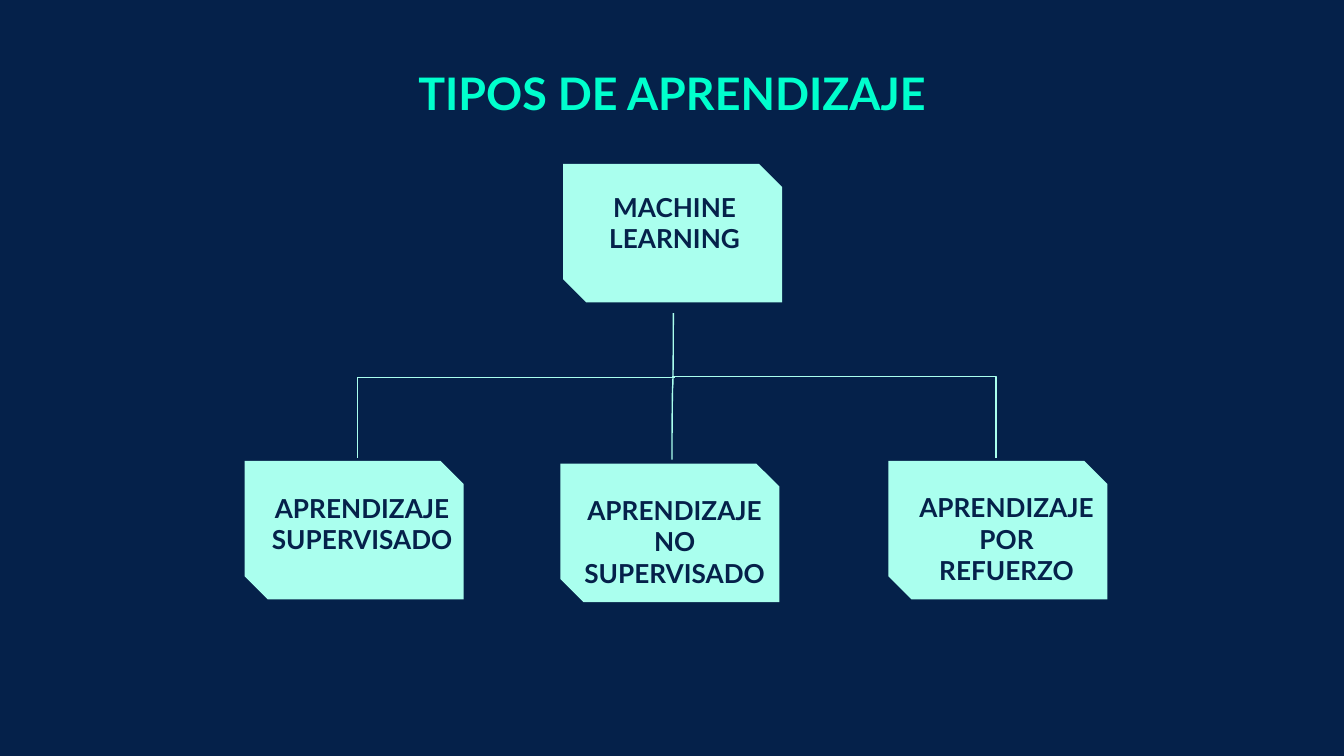
import pptx
import pptx.util
import pptx.dml.color
import pptx.enum.shapes
import pptx.enum.text
import pptx.oxml
import pptx.oxml.ns

Inches = pptx.util.Inches
Kind = pptx.enum.shapes.MSO_CONNECTOR
Anchor = pptx.enum.text.MSO_ANCHOR
NAVY, MINT, GREEN = "05214A", "AAFFEE", "00FFCD"


def color(code):
    return pptx.dml.color.RGBColor.from_string(code)


def write(shape, lines, size, code, anchor):
    frame = shape.text_frame
    frame.word_wrap = True
    frame.auto_size = pptx.enum.text.MSO_AUTO_SIZE.NONE
    frame.vertical_anchor = anchor
    frame.margin_left = frame.margin_right = Inches(0.1)
    frame.margin_top = frame.margin_bottom = Inches(0.1)
    for i, line in enumerate(lines):
        para = frame.add_paragraph() if i else frame.paragraphs[0]
        para.alignment = pptx.enum.text.PP_ALIGN.CENTER
        run = para.add_run()
        run.text = line
        run.font.name = "Lato"
        run.font.size = pptx.util.Pt(size)
        run.font.bold = True
        run.font.color.rgb = color(code)


def add_card(slide, left, top):
    card = slide.shapes.add_shape(
        pptx.enum.shapes.MSO_SHAPE.SNIP_2_DIAG_RECTANGLE,
        Inches(left), Inches(top), Inches(1.63), Inches(1.03))
    card.shadow.inherit = False
    card.adjustments[0] = 0
    card.adjustments[1] = 0.167
    card.fill.solid()
    card.fill.fore_color.rgb = color(MINT)
    card.line.fill.background()


def add_label(slide, box, lines):
    label = slide.shapes.add_textbox(*map(Inches, box))
    write(label, lines, 14, NAVY, Anchor.BOTTOM)


def add_link(slide, kind, ends, bend, turn=0):
    link = slide.shapes.add_connector(kind, *map(Inches, ends))
    link.line.color.rgb = color(MINT)
    link.line.width = pptx.util.Pt(0.75)
    props = link.element.spPr
    space = pptx.oxml.ns.nsdecls("a")
    props.append(pptx.oxml.parse_xml(f"<a:effectLst {space}/>"))
    if turn:
        props.find(pptx.oxml.ns.qn("a:xfrm")).set("rot", str(turn * 60000))
    shape = props.find(pptx.oxml.ns.qn("a:prstGeom"))
    guides = shape.find(pptx.oxml.ns.qn("a:avLst"))
    guides.append(pptx.oxml.parse_xml(
        f'<a:gd {space} name="adj1" fmla="val {round(bend * 100000)}"/>'))


def add_title(slide, text):
    title = slide.shapes.title
    title.left, title.top = Inches(2.15), Inches(0.39)
    title.width, title.height = Inches(5.7), Inches(1.03)
    write(title, [text], 24, GREEN, Anchor.TOP)


def main():
    deck = pptx.Presentation()
    deck.slide_width = Inches(10)
    deck.slide_height = Inches(10) * 9 // 16
    slide = deck.slides.add_slide(deck.slide_layouts[5])
    slide.background.fill.solid()
    slide.background.fill.fore_color.rgb = color(NAVY)

    add_title(slide, "TIPOS DE APRENDIZAJE")
    add_link(slide, Kind.CURVE, (4.46, 2.87, 5.55, 2.88), 0.5, 90)
    add_link(slide, Kind.ELBOW, (5.02, 2.81, 2.66, 3.41), 1)
    add_link(slide, Kind.ELBOW, (5, 2.8, 7.41, 3.41), 1)

    nodes = [
        ((4.19, 1.22), (4.24, 1.19, 1.56, 0.8), ["MACHINE", "LEARNING"]),
        ((1.82, 3.43), (1.88, 3.45, 1.63, 0.78),
         ["APRENDIZAJE", "SUPERVISADO"]),
        ((4.17, 3.45), (4.24, 3.45, 1.56, 1.03),
         ["APRENDIZAJE", "NO SUPERVISADO"]),
        ((6.61, 3.43), (6.71, 3.43, 1.56, 1.03),
         ["APRENDIZAJE", "POR REFUERZO"]),
    ]
    for spot, box, lines in nodes:
        add_card(slide, *spot)
        add_label(slide, box, lines)

    deck.save("out.pptx")


if __name__ == "__main__":
    main()
